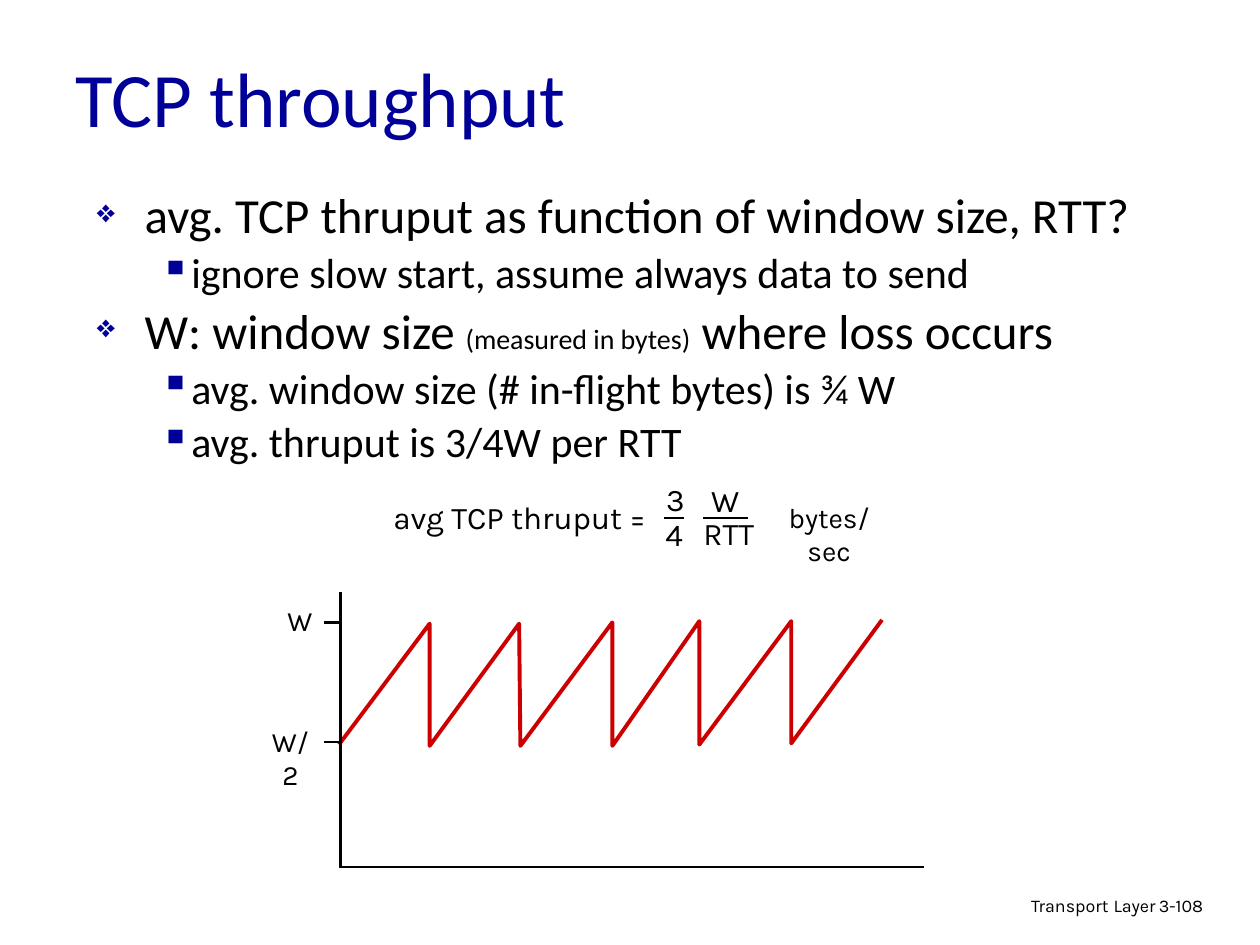
from dataclasses import dataclass

from lxml.etree import SubElement
from pptx import Presentation
from pptx.dml.color import RGBColor
from pptx.enum.shapes import MSO_CONNECTOR
from pptx.enum.text import MSO_ANCHOR, MSO_AUTO_SIZE, PP_ALIGN
from pptx.oxml.ns import qn
from pptx.util import Inches, Pt


@dataclass(frozen=True)
class Theme:
    text_font: str = "Calibri"
    label_font: str = "Karla"
    black: RGBColor = RGBColor(0x00, 0x00, 0x00)
    navy: RGBColor = RGBColor(0x00, 0x00, 0x99)
    red: RGBColor = RGBColor(0xCC, 0x00, 0x00)
    title: float = 44
    topic: float = 28
    detail: float = 24
    aside: float = 16
    formula: float = 18
    label: float = 16
    footer: float = 10.2
    footer_gap: float = 11.9


theme = Theme()


def add_span(para, text, size, font=theme.label_font, color=theme.black):
    span = para.add_run()
    span.text = text
    span.font.size = Pt(size)
    span.font.name = font
    span.font.color.rgb = color


def add_line(shapes, x1, y1, x2, y2):
    line = shapes.add_connector(
        MSO_CONNECTOR.STRAIGHT, Inches(x1), Inches(y1), Inches(x2), Inches(y2))
    line.line.color.rgb = theme.black
    line.line.width = Pt(1.5)
    SubElement(line._element.spPr, qn("a:effectLst"))


deck = Presentation()
deck.slide_width, deck.slide_height = Inches(10), Inches(7.5)
page = deck.slides.add_slide(deck.slide_layouts[5])

# Footer
footers = [
    (6.1, 7.05, 3.17, 0.31, PP_ALIGN.RIGHT,
     [("Transport", theme.footer), (" ", theme.footer_gap), ("Layer", theme.footer)]),
    (9.1, 7.07, 0.74, 0.3, PP_ALIGN.LEFT, [("3-108", theme.footer)]),
]
for left, top, width, height, align, spans in footers:
    box = page.shapes.add_textbox(Inches(left), Inches(top), Inches(width), Inches(height))
    box.text_frame.word_wrap = True
    para = box.text_frame.paragraphs[0]
    para.alignment = align
    para.line_spacing = 0.9
    for text, size in spans:
        add_span(para, text, size)

# Title
title = page.shapes.title
title.left, title.top = Inches(0.5), Inches(0.26)
title.width, title.height = Inches(8.5), Inches(1.02)
title.text_frame.auto_size = MSO_AUTO_SIZE.NONE
title.text_frame.vertical_anchor = MSO_ANCHOR.MIDDLE
para = title.text_frame.paragraphs[0]
para.alignment = PP_ALIGN.LEFT
add_span(para, "TCP throughput", theme.title, theme.text_font, theme.navy)

# Bullets: level and spans
bullets = [
    (0, [("avg. TCP thruput as function of window size, RTT?", theme.topic)]),
    (1, [("ignore slow start, assume always data to send", theme.detail)]),
    (0, [("W: window size ", theme.topic), ("(measured in bytes)", theme.aside),
         (" where loss occurs", theme.topic)]),
    (1, [("avg. window size (# in-flight bytes) is ¾ W", theme.detail)]),
    (1, [("avg. thruput is 3/4W per RTT", theme.detail)]),
]
# Per level: bullet, bullet size in percent, left margin, hanging indent, space before
levels = [("❖", 65, 0.38, 0.38, 7), ("▪", 100, 0.75, 0.25, 6)]
body = page.shapes.add_textbox(Inches(0.67), Inches(1.49), Inches(9.04), Inches(5.08))
body.text_frame.word_wrap = True
for index, (level, spans) in enumerate(bullets):
    mark, percent, margin, hanging, space = levels[level]
    para = body.text_frame.paragraphs[0] if index == 0 else body.text_frame.add_paragraph()
    para.level = level
    para.line_spacing = 0.85
    para.space_before = Pt(space if index else 0)
    props = para._p.get_or_add_pPr()
    props.set("marL", str(Inches(margin)))
    props.set("indent", str(-Inches(hanging)))
    SubElement(SubElement(props, qn("a:buClr")), qn("a:srgbClr"), val=str(theme.navy))
    SubElement(props, qn("a:buSzPct"), val=str(percent * 1000))
    SubElement(props, qn("a:buChar"), char=mark)
    for text, size in spans:
        add_span(para, text, size, theme.text_font)

# Sawtooth of the window size: peaks, each followed by a drop to about one half
graph = page.shapes.add_group_shape().shapes
sawtooth = [
    (3.41, 4.95), (3.41, 5.92), (4.12, 4.95), (4.13, 5.92), (4.86, 4.94), (4.86, 5.92),
    (5.55, 4.93), (5.55, 5.91), (6.28, 4.93), (6.28, 5.9), (7, 4.92),
]
builder = graph.build_freeform(Inches(2.69), Inches(5.91))
builder.add_line_segments([(Inches(x), Inches(y)) for x, y in sawtooth], close=False)
curve = builder.convert_to_shape()
curve.shadow.inherit = False
curve.fill.background()
curve.line.color.rgb = theme.red
curve.line.width = Pt(2.25)

add_line(graph, 2.69, 6.88, 7.33, 6.88)
add_line(graph, 2.7, 4.7, 2.7, 6.89)
for tick in (4.94, 5.89):
    add_line(graph, 2.57, tick, 2.69, tick)

# Formula with its two fraction bars
formula = page.shapes.add_group_shape().shapes
for start, end in ((5.27, 5.43), (5.58, 5.94)):
    add_line(formula, start, 4.11, end, 4.11)

# Labels: group, text, size, left, top, width, height, side margin
labels = [
    (graph, "W", theme.label, 2.18, 4.74, 0.4, 0.37, 0.05),
    (graph, "W/2", theme.label, 2, 5.7, 0.61, 0.37, 0.13),
    (formula, "avg TCP thruput = ", theme.formula, 2.97, 3.9, 2.37, 0.4, 0.1),
    (formula, "3", theme.formula, 5.19, 3.76, 0.34, 0.4, 0.05),
    (formula, "4", theme.formula, 5.18, 4.04, 0.34, 0.4, 0.05),
    (formula, "W", theme.formula, 5.54, 3.77, 0.43, 0.4, 0.05),
    (formula, "RTT", theme.formula, 5.47, 4.03, 0.63, 0.4, 0.05),
    (formula, "bytes/sec", theme.label, 5.99, 3.92, 1.18, 0.37, 0.13),
]
for shapes, text, size, left, top, width, height, margin in labels:
    box = shapes.add_textbox(Inches(left), Inches(top), Inches(width), Inches(height))
    frame = box.text_frame
    frame.word_wrap = True
    frame.margin_left = frame.margin_right = Inches(margin)
    para = frame.paragraphs[0]
    para.alignment = PP_ALIGN.CENTER
    add_span(para, text, size)

deck.save("out.pptx")
